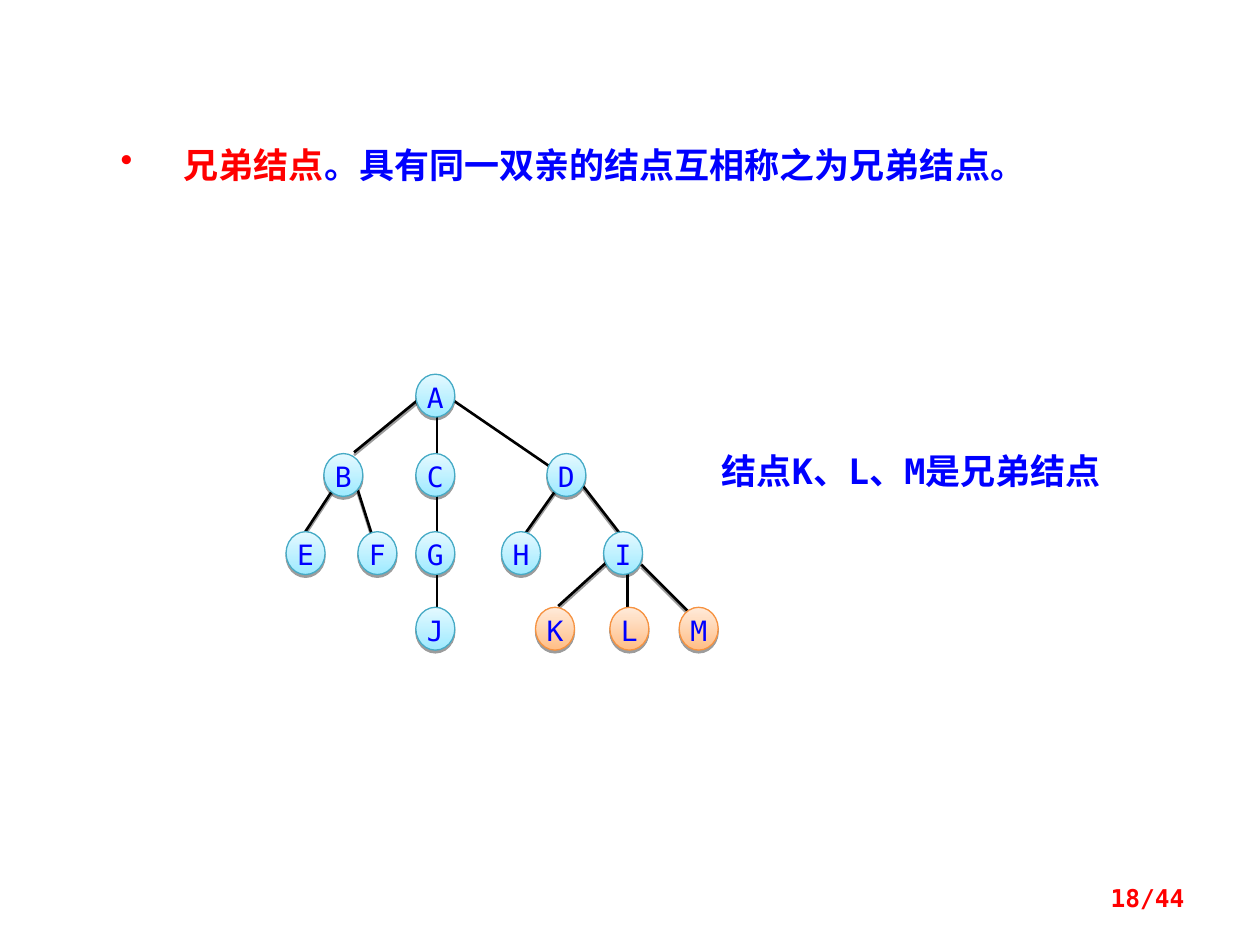
from lxml.etree import SubElement
from pptx import Presentation
from pptx.dml.color import RGBColor
from pptx.enum.shapes import MSO_CONNECTOR, MSO_SHAPE
from pptx.enum.text import MSO_ANCHOR, PP_ALIGN
from pptx.oxml.ns import qn
from pptx.util import Inches, Pt

MONO, HAN, TIMES = "DejaVu Sans Mono", "Noto Sans CJK SC", "Times New Roman"
BLUE, RED, BLACK = "0000FF", "FF0000", "000000"
hue = RGBColor.from_string

deck = Presentation()
deck.slide_width, deck.slide_height = Inches(10), Inches(7.5)
col, row = deck.slide_width // 100, deck.slide_height // 75
slide = deck.slides.add_slide(deck.slide_layouts[6])
shapes = slide.shapes


def style(run, font, size, color, bold=False):
    run.font.name, run.font.size, run.font.bold = font, Pt(size), bold
    run.font.color.rgb = hue(color)
    SubElement(run.font._element, qn("a:ea"), typeface=HAN)


def shade(shape, cast=True):
    """Set the effect list: a short shadow straight down, or nothing."""
    props = shape._element.spPr
    for old in props.findall(qn("a:effectLst")):
        props.remove(old)
    fx = SubElement(props, qn("a:effectLst"))
    if cast:
        drop = SubElement(fx, qn("a:outerShdw"), blurRad="0", dist=str(Pt(1.6)),
                          dir="5400000", algn="ctr", rotWithShape="0")
        tint = SubElement(drop, qn("a:srgbClr"), val=BLACK)
        SubElement(tint, qn("a:alpha"), val="38000")


# Text: place, size, alignment, anchor, line spacing, runs
notes = [
    ((8.6, 10.9, 80.5, 4.4), 20, PP_ALIGN.LEFT, MSO_ANCHOR.TOP, 1,
     [("兄弟结点", HAN, RED), ("。", TIMES, BLUE),
      ("具有同一双亲的结点互相称之为兄弟结点。", MONO, BLUE)]),
    ((56.3, 35.2, 35.2, 7.7), 20, PP_ALIGN.LEFT, MSO_ANCHOR.TOP, 1,
     [("结点K、L、M是兄弟结点", MONO, BLUE)]),
    ((71.7, 69.5, 23.3, 4), 14, PP_ALIGN.RIGHT, MSO_ANCHOR.MIDDLE, 0.8,
     [("18/44", MONO, RED)]),
]
frames = []
for (x, y, w, h), size, align, anchor, gap, runs in notes:
    box = shapes.add_textbox(int(x * col), int(y * row), int(w * col), int(h * row))
    frame = box.text_frame
    frame.word_wrap, frame.vertical_anchor = True, anchor
    para = frame.paragraphs[0]
    para.alignment, para.line_spacing = align, gap
    for text, font, color in runs:
        run = para.add_run()
        run.text = text
        style(run, font, size, color, bold=True)
    frames.append(frame)

# Bullet on the definition
lead = frames[0].paragraphs[0]._p.get_or_add_pPr()
lead.set("marL", str(5 * col))
lead.set("indent", str(-5 * col))
SubElement(SubElement(lead, qn("a:buClr")), qn("a:srgbClr"), val=RED)
SubElement(lead, qn("a:buChar"), char="•")

# Tree edges: ends in columns and rows, shadow or not
edges = [
    (44.4, 38.5, 41.5, 42.6, True),   # D-H
    (46.3, 38.6, 49.4, 42.6, True),   # D-I
    (49.8, 45.5, 49.8, 48.6, False),  # I-L
    (50.9, 44.8, 54.6, 48.5, True),   # I-M
    (48.5, 44.3, 44.3, 48.1, True),   # I-K
    (28.4, 38.9, 29.7, 43, True),     # B-F
    (26.4, 38.9, 24.1, 42.4, True),   # B-E
    (33.1, 31.8, 28.1, 35.9, True),   # A-B
    (34.7, 32.8, 34.7, 48.7, False),  # A-C-G-J
    (36, 31.8, 43.6, 37, False),      # A-D
]
for x1, y1, x2, y2, cast in edges:
    edge = shapes.add_connector(MSO_CONNECTOR.STRAIGHT, int(x1 * col), int(y1 * row),
                                int(x2 * col), int(y2 * row))
    edge.line.color.rgb, edge.line.width = hue(BLACK), Pt(1.5)
    shade(edge, cast)

# Tree nodes, level by level
levels = [
    (29.7, {"A": 33}),
    (36, {"B": 25.7, "C": 33, "D": 43.4}),
    (42.2, {"E": 22.7, "F": 28.4, "G": 33, "H": 39.8, "I": 47.9}),
    (48.2, {"J": 33, "K": 42.5, "L": 48.4, "M": 53.9}),
]
for y, nodes in levels:
    for name, x in nodes.items():
        low, high, rim = (("FFBE86", "FFEBDB", "F69240") if name in "KLM"
                          else ("9EEAFF", "E4F9FF", "46AAC5"))
        node = shapes.add_shape(MSO_SHAPE.OVAL, int(x * col), int(y * row),
                                int(3.1 * col), int(3.4 * row))
        node.fill.gradient()
        node.fill.gradient_angle = 90
        for stop, color in zip(node.fill.gradient_stops, (low, high)):
            stop.color.rgb = hue(color)
        for stop, place in zip(node.fill.gradient_stops, (0, 1)):
            stop.position = place
        node.line.color.rgb, node.line.width = hue(rim), Pt(0.75)
        shade(node)
        frame = node.text_frame
        frame.margin_left = frame.margin_right = frame.margin_top = frame.margin_bottom = 0
        frame.vertical_anchor = MSO_ANCHOR.TOP
        frame.text = name
        para = frame.paragraphs[0]
        para.alignment, para.line_spacing = PP_ALIGN.CENTER, Pt(19)
        style(para.runs[0], MONO, 16, BLUE)

deck.save("out.pptx")
